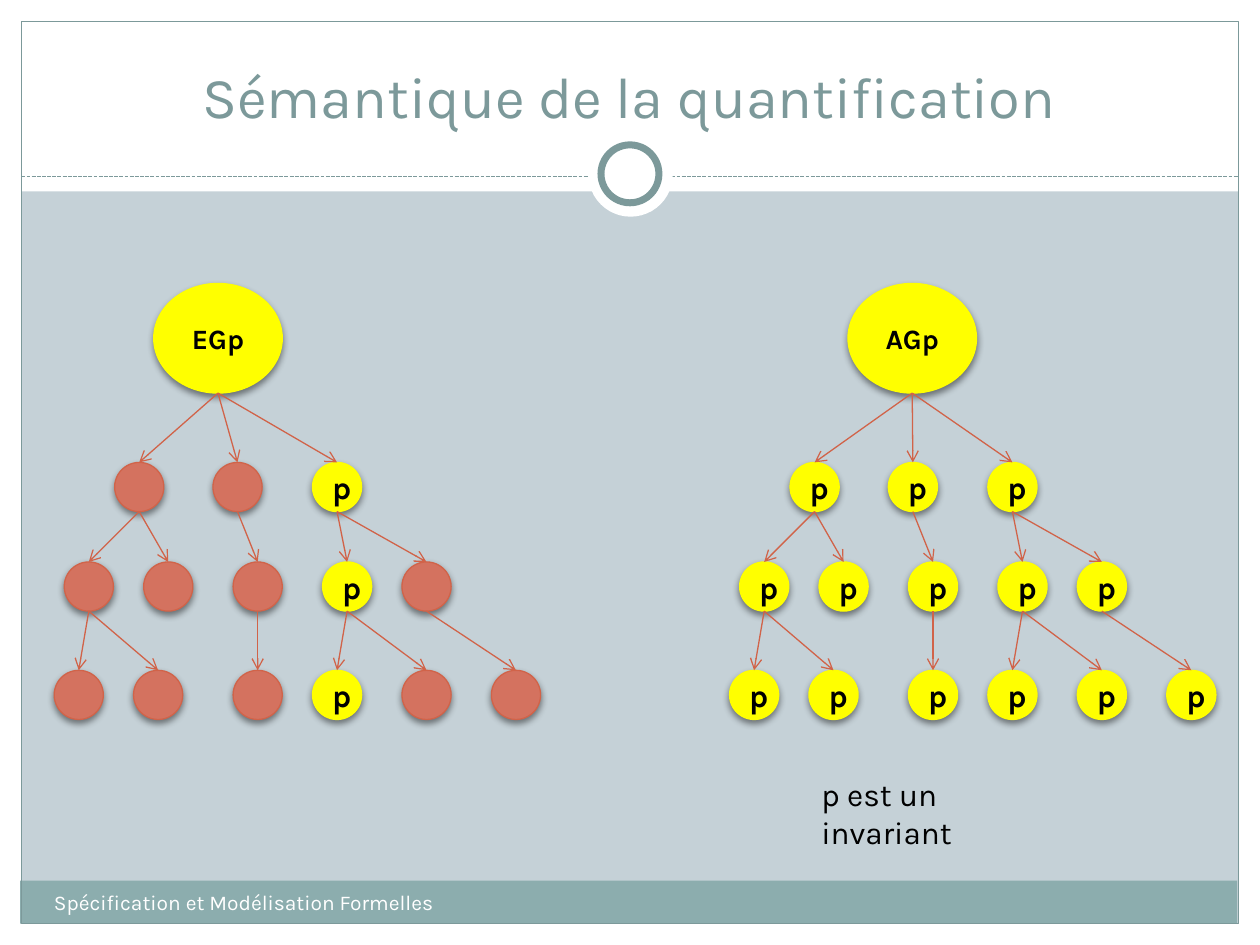
from lxml import etree
from pptx import Presentation
from pptx.dml.color import RGBColor
from pptx.enum.dml import MSO_LINE_DASH_STYLE as Dash
from pptx.enum.shapes import MSO_CONNECTOR as Connector, MSO_SHAPE as Shape
from pptx.enum.text import MSO_ANCHOR as Anchor, PP_ALIGN as Align
from pptx.oxml import parse_xml
from pptx.oxml.ns import nsdecls, qn
from pptx.util import Inches, Pt

# Content
TITLE = "Sémantique de la quantification"
FOOTER = "Spécification et Modélisation Formelles"
NOTE = "p est un invariant"
FONT = "Karla"
COLORS = {
    "background": "C5D1D7", "white": "FFFFFF", "black": "000000",
    "band": "8CADAE", "accent": "7C999A",
    "yellow": "FFFF00", "red": "D4725F", "edge": "D16349",
}

# Tree levels: top of the row and left of each node, relative to the tree
LEVELS = [
    (3.67, [0.48, 1.26, 2.05]),
    (4.46, [0.08, 0.71, 1.42, 2.13, 2.76]),
    (5.32, [0, 0.63, 1.42, 2.05, 2.76, 3.47]),
]
# Children of every node, level by level
CHILDREN = [
    [(0, 1), (2,), (3, 4)],
    [(0, 1), (), (2,), (3, 4), (5,)],
]
# "marked" holds, for each level, the nodes where p is true
TREES = [
    {"label": "EGp", "left": 0.43, "root": 1.22, "marked": [{2}, {3}, {3}]},
    {"label": "AGp", "left": 5.79, "root": 6.73,
     "marked": [set(range(len(lefts))) for _, lefts in LEVELS]},
]
NODE = 0.39
ROOT_TOP, ROOT_W, ROOT_H = 2.25, 1.02, 0.87

prs = Presentation()
prs.slide_width, prs.slide_height = Inches(10), Inches(7.5)
slide = prs.slides.add_slide(prs.slide_layouts[6])


def rgb(name):
    return RGBColor.from_string(COLORS[name])


def write(shape, text, size, color, bold=False, align=Align.LEFT):
    shape.text_frame.text = text
    paragraph = shape.text_frame.paragraphs[0]
    paragraph.alignment = align
    font = paragraph.runs[0].font
    font.name, font.size, font.bold = FONT, Pt(size), bold
    font.color.rgb = rgb(color)


def add_shape(parent, kind, box, fill=None, line=None, width=0.75):
    shape = parent.shapes.add_shape(kind, *map(Inches, box))
    shape.shadow.inherit = False
    if fill:
        shape.fill.solid()
        shape.fill.fore_color.rgb = rgb(fill)
    else:
        shape.fill.background()
    if line:
        shape.line.color.rgb = rgb(line)
        shape.line.width = Pt(width)
    else:
        shape.line.fill.background()
    return shape


def add_line(parent, start, end, color):
    line = parent.shapes.add_connector(
        Connector.STRAIGHT, *map(Inches, (*start, *end)))
    line.line.color.rgb = rgb(color)
    line.line.width = Pt(0.75)
    etree.SubElement(line._element.spPr, qn("a:effectLst"))
    return line


def add_text(box, text, size, color, align=Align.LEFT, anchor=Anchor.TOP):
    textbox = slide.shapes.add_textbox(*map(Inches, box))
    textbox.text_frame.word_wrap = True
    textbox.text_frame.vertical_anchor = anchor
    write(textbox, text, size, color, align=align)


def add_node(parent, box, text, size):
    fill, line = ("yellow", "yellow") if text else ("red", "edge")
    node = add_shape(parent, Shape.OVAL, box, fill, line)
    node._element.spPr.find(qn("a:effectLst")).append(parse_xml(
        f'<a:outerShdw {nsdecls("a")} blurRad="{Pt(4)}" dist="{Pt(2)}" '
        'dir="5400000" rotWithShape="0"><a:srgbClr val="000000">'
        '<a:alpha val="45000"/></a:srgbClr></a:outerShdw>'))
    if text:
        write(node, text, size, "black", True, Align.CENTER)


def add_arrow(parent, start, end):
    arrow = add_line(parent, start, end, "edge")
    etree.SubElement(arrow.line._get_or_add_ln(), qn("a:tailEnd"), type="arrow")


def add_tree(tree):
    group = slide.shapes.add_group_shape()
    add_node(group, (tree["root"], ROOT_TOP, ROOT_W, ROOT_H), tree["label"], 16)
    for (top, lefts), marked in zip(LEVELS, tree["marked"]):
        for i, left in enumerate(lefts):
            add_node(group, (tree["left"] + left, top, NODE, NODE),
                     "p" if i in marked else "", 18)

    # Arrows run from the bottom of a parent to the top of its child
    centers = [[tree["left"] + left + NODE / 2 for left in lefts]
               for _, lefts in LEVELS]
    root_bottom = (tree["root"] + ROOT_W / 2, ROOT_TOP + ROOT_H)
    for x in centers[0]:
        add_arrow(group, root_bottom, (x, LEVELS[0][0]))
    for depth, families in enumerate(CHILDREN):
        bottom = LEVELS[depth][0] + NODE
        for x, family in zip(centers[depth], families):
            for child in family:
                add_arrow(group, (x, bottom),
                          (centers[depth + 1][child], LEVELS[depth + 1][0]))


# Background and frame
slide.background.fill.solid()
slide.background.fill.fore_color.rgb = rgb("background")
for box in [(0, 7.33, 10, 0.17), (0, 0, 10, 1.52),
            (0, 0, 0.17, 7.5), (9.83, 0, 0.17, 7.5)]:
    add_shape(slide, Shape.RECTANGLE, box, "white")
add_shape(slide, Shape.RECTANGLE, (0.16, 6.99, 9.66, 0.34), "band")
add_shape(slide, Shape.RECTANGLE, (0.17, 0.17, 9.66, 7.16), line="accent")
divider = add_line(slide, (0.17, 1.4), (9.83, 1.4), "accent")
divider.line.dash_style = Dash.SQUARE_DOT
add_shape(slide, Shape.OVAL, (4.67, 1.05, 0.67, 0.67), "white")
add_shape(slide, Shape.OVAL, (4.77, 1.15, 0.46, 0.46), "white", "accent", 4)

# Title, footer, trees and note
add_text((0.33, 0.25, 9.33, 0.83), TITLE, 33, "accent", Align.CENTER, Anchor.BOTTOM)
add_text((0.33, 7.01, 3.92, 0.4), FOOTER, 12, "white")
for tree in TREES:
    add_tree(tree)
add_text((6.42, 6.1, 2.1, 0.4), NOTE, 18, "black")

prs.save("out.pptx")
